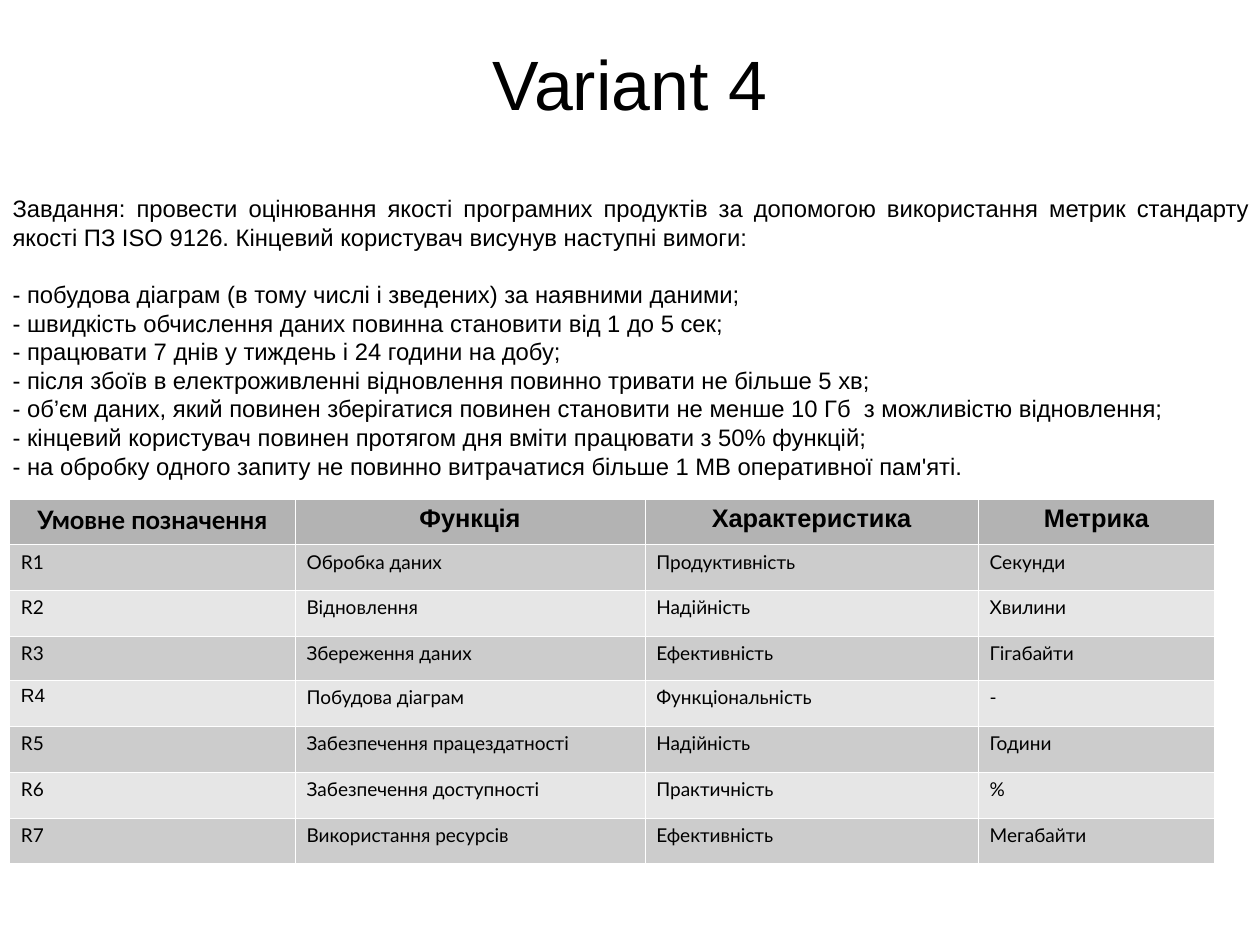
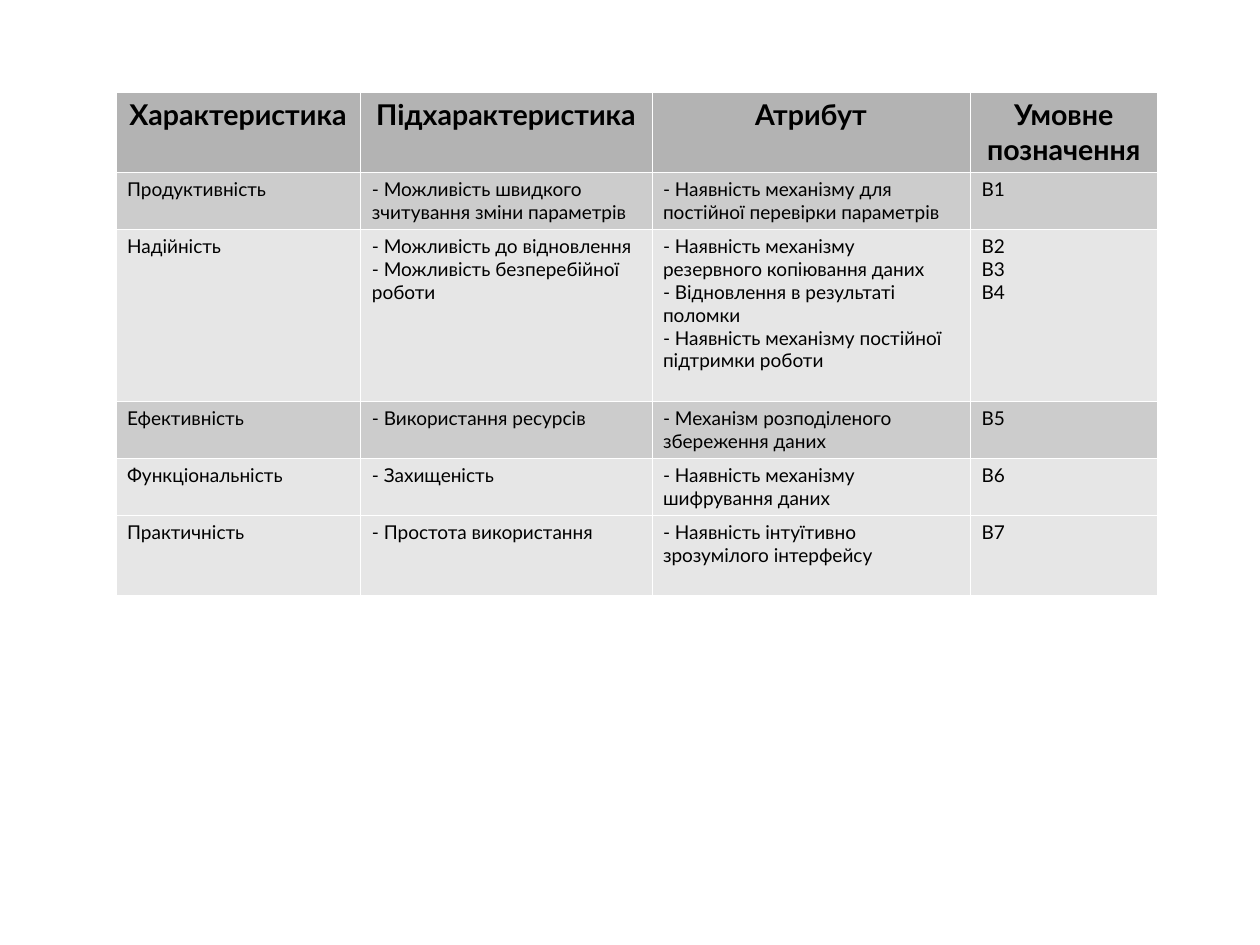
from lxml import etree
from pptx import Presentation
from pptx import util as u
from pptx.dml.color import RGBColor
from pptx.enum import text
from pptx.oxml.ns import qn

BLACK = RGBColor(0x00, 0x00, 0x00)
WHITE = RGBColor(0xFF, 0xFF, 0xFF)
HEADER = RGBColor(0xB3, 0xB3, 0xB3)
DARK_BAND = RGBColor(0xCC, 0xCC, 0xCC)
LIGHT_BAND = RGBColor(0xE6, 0xE6, 0xE6)
ARIAL, LATO = "Arial", "Lato"
SLIDE_WIDTH, SLIDE_HEIGHT = u.Cm(28), u.Cm(21)
TITLE_LAYOUT, BLANK_LAYOUT = 5, 6
BORDER_WIDTH = u.Pt(0.06)
TABLE_TEXT_SIZE = 12
ROW_HEIGHT = 1.02

TASK = ("Завдання: провести оцінювання якості програмних продуктів за допомогою "
        "використання метрик стандарту якості ПЗ ISO 9126. "
        "Кінцевий користувач висунув наступні вимоги:")
REQUIREMENTS = [
    "- побудова діаграм (в тому числі і зведених) за наявними даними;",
    "- швидкість обчислення даних повинна становити від 1 до 5 сек;",
    "- працювати 7 днів у тиждень і 24 години на добу;",
    "- після збоїв в електроживленні відновлення повинно тривати не більше 5 хв;",
    "- об’єм даних, який повинен зберігатися повинен становити не менше 10 Гб  з можливістю відновлення;",
    "- кінцевий користувач повинен протягом дня вміти працювати з 50% функцій;",
    "- на обробку одного запиту не повинно витрачатися більше 1 MB оперативної пам'яті.",
]
METRICS = [
    ["Умовне позначення", "Функція", "Характеристика", "Метрика"],
    ["R1", "Обробка даних", "Продуктивність", "Секунди"],
    ["R2", "Відновлення", "Надійність", "Хвилини"],
    ["R3", "Збереження даних", "Ефективність", "Гігабайти"],
    ["R4", "Побудова діаграм", "Функціональність", "-"],
    ["R5", "Забезпечення працездатності", "Надійність", "Години"],
    ["R6", "Забезпечення доступності", "Практичність", "%"],
    ["R7", "Використання ресурсів", "Ефективність", "Мегабайти"],
]
ATTRIBUTES = [
    ["Характеристика", "Підхарактеристика", "Атрибут", "Умовне позначення"],
    ["Продуктивність", "- Можливість швидкого зчитування зміни параметрів",
     "- Наявність механізму для постійної перевірки параметрів", "B1"],
    ["Надійність",
     "- Можливість до відновлення\n- Можливість безперебійної роботи",
     "- Наявність механізму резервного копіювання даних\n"
     "- Відновлення в результаті поломки\n"
     "- Наявність механізму постійної підтримки роботи", "B2\nB3\nB4"],
    ["Ефективність", "- Використання ресурсів",
     "- Механізм розподіленого збереження даних", "B5"],
    ["Функціональність", "- Захищеність",
     "- Наявність механізму шифрування даних", "B6"],
    ["Практичність", "- Простота використання",
     "- Наявність інтуїтивно зрозумілого інтерфейсу", "B7"],
]


def write(frame, lines, size, font=ARIAL, bold=False, align=text.PP_ALIGN.LEFT):
    """Write one paragraph per line and return the paragraphs."""
    frame.word_wrap = True
    for index, line in enumerate(lines):
        paragraph = frame.add_paragraph() if index else frame.paragraphs[0]
        paragraph.alignment = align
        run = paragraph.add_run()
        run.text = line
        run.font.size = u.Pt(size)
        run.font.name = font
        run.font.bold = bold
        run.font.color.rgb = BLACK
    return frame.paragraphs


def add_title(slide, title):
    """Place and fill the title placeholder."""
    shape = slide.shapes.title
    shape.left, shape.top = u.Cm(0), u.Cm(0.1)
    shape.width, shape.height = SLIDE_WIDTH, u.Cm(3.48)
    frame = shape.text_frame
    frame.margin_left = frame.margin_right = 0
    frame.margin_top = frame.margin_bottom = 0
    frame.vertical_anchor = text.MSO_ANCHOR.MIDDLE
    write(frame, [title], 44, align=text.PP_ALIGN.CENTER)


def add_task(slide):
    """Add the task statement with its list of requirements."""
    box = slide.shapes.add_textbox(u.Cm(0.03), u.Cm(4.19), SLIDE_WIDTH, u.Cm(7.85))
    paragraphs = write(box.text_frame, [TASK, *REQUIREMENTS], 15,
                       align=text.PP_ALIGN.JUSTIFY)
    for paragraph in paragraphs:
        paragraph.line_spacing = u.Pt(18)
    paragraphs[0].space_after = u.Pt(18)


def style_cell(cell, fill):
    """Fill a cell and give it thin white borders."""
    cell.fill.solid()
    cell.fill.fore_color.rgb = fill
    properties = cell._tc.get_or_add_tcPr()
    for index, side in enumerate(("lnL", "lnR", "lnT", "lnB")):
        line = etree.Element(qn(f"a:{side}"), w=str(int(BORDER_WIDTH)))
        solid = etree.SubElement(line, qn("a:solidFill"))
        etree.SubElement(solid, qn("a:srgbClr"), val=str(WHITE))
        properties.insert(index, line)


def add_table(slide, rows, left, top, widths, heights, bands, header_size,
              arial_cells=()):
    """Add a table with a bold header; lengths are in centimetres."""
    table = slide.shapes.add_table(
        len(rows), len(widths), u.Cm(left), u.Cm(top),
        u.Cm(sum(widths)), u.Cm(sum(heights))).table
    table.first_row = table.horz_banding = False
    for column, width in zip(table.columns, widths):
        column.width = u.Cm(width)
    fills = [HEADER, *bands]
    for row_index, values in enumerate(rows):
        table.rows[row_index].height = u.Cm(heights[row_index])
        is_header = row_index == 0
        for column_index, value in enumerate(values):
            position = (row_index, column_index)
            cell = table.cell(*position)
            style_cell(cell, fills[row_index])
            write(cell.text_frame, value.split("\n"),
                  header_size if is_header else TABLE_TEXT_SIZE,
                  ARIAL if position in arial_cells else LATO, is_header,
                  text.PP_ALIGN.CENTER if is_header else text.PP_ALIGN.LEFT)


def add_metrics_slide(presentation):
    """Build the slide with the task and the table of metrics."""
    slide = presentation.slides.add_slide(presentation.slide_layouts[TITLE_LAYOUT])
    add_title(slide, "Variant 4")
    add_task(slide)
    heights = [ROW_HEIGHT] * len(METRICS)
    heights[3] = 0.97
    add_table(slide, METRICS, 0.21, 11.08, [6.35, 7.77, 7.41, 5.25], heights,
              [DARK_BAND, LIGHT_BAND] * 3 + [DARK_BAND], 16,
              arial_cells={(0, 1), (0, 2), (0, 3), (4, 0)})


def add_attributes_slide(presentation):
    """Build the slide with the table of quality attributes."""
    slide = presentation.slides.add_slide(presentation.slide_layouts[BLANK_LAYOUT])
    add_table(slide, ATTRIBUTES, 2.57, 2.04, [5.44, 6.47, 7.08, 4.16],
              [1.76, 1.27, 3.82, 1.27, 1.27, 1.78],
              [DARK_BAND, LIGHT_BAND] * 2 + [LIGHT_BAND], 18)


def main():
    """Build and save the presentation."""
    presentation = Presentation()
    presentation.slide_width, presentation.slide_height = SLIDE_WIDTH, SLIDE_HEIGHT
    add_metrics_slide(presentation)
    add_attributes_slide(presentation)
    presentation.save("out.pptx")


main()
